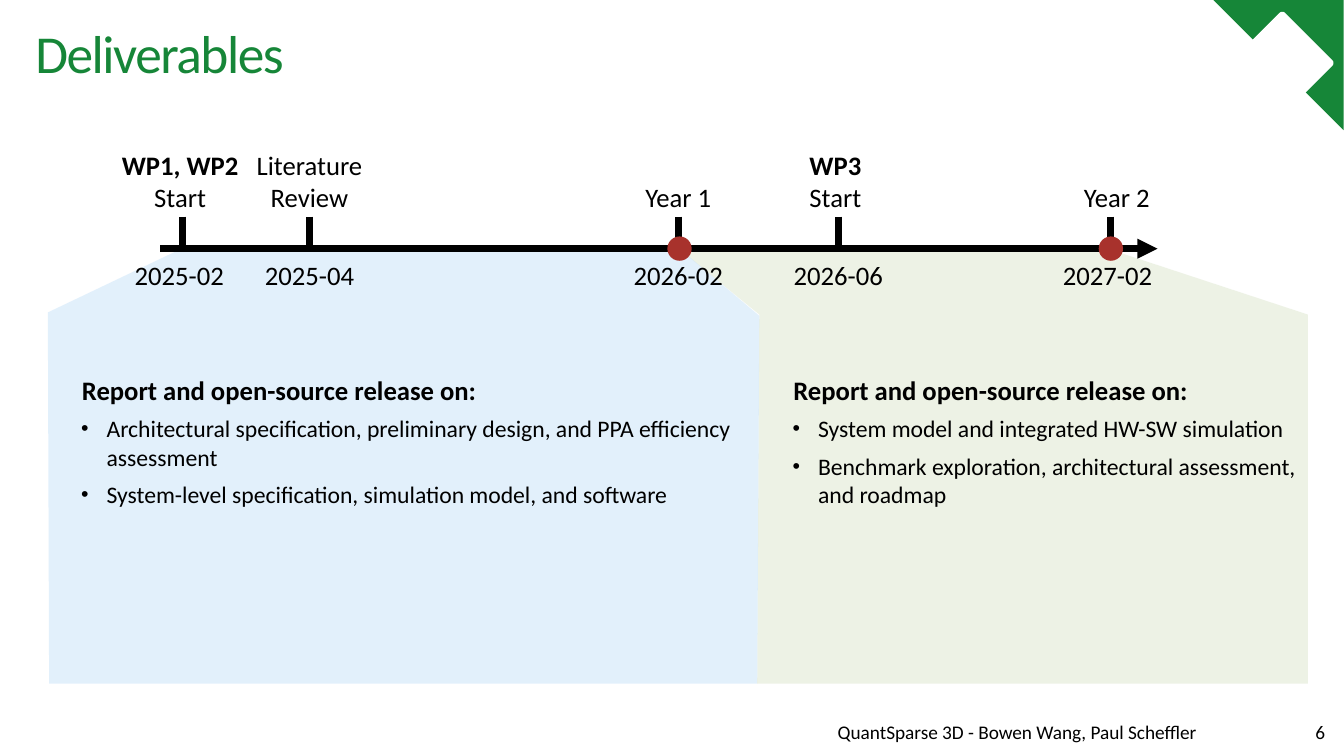
"""Builds the Deliverables slide with a project timeline and two yearly panels."""
import pptx
import pptx.dml.color
import pptx.enum.shapes
import pptx.enum.text
import pptx.oxml
import pptx.oxml.ns
import pptx.util

Cm = pptx.util.Cm
Pt = pptx.util.Pt
RGBColor = pptx.dml.color.RGBColor
MSO_SHAPE = pptx.enum.shapes.MSO_SHAPE
PP_ALIGN = pptx.enum.text.PP_ALIGN
MSO_ANCHOR = pptx.enum.text.MSO_ANCHOR

GREEN = RGBColor(0x16, 0x86, 0x38)
WHITE = RGBColor(0xFF, 0xFF, 0xFF)
BLACK = RGBColor(0, 0, 0)
RED = RGBColor(0xA8, 0x32, 0x2C)
PALE_BLUE = RGBColor(0xC6, 0xE2, 0xF9)
PALE_GREEN = RGBColor(0xDC, 0xE6, 0xCD)

AXIS_Y = 5.92
TICK_TOP = 5.16
LABEL_BOTTOM = 5.08
DATE_TOP = 6.17
LINE_HEIGHT = 0.77
LABEL_WIDTH = 2.84
DOT = 0.58

MILESTONES = [
    (4.34, 4.29, 4.27, [("WP1, WP2", True), ("Start", False)], "2025-02"),
    (7.37, 7.37, 7.37, [("Literature", False), ("Review", False)], "2025-04"),
    (16.15, 16.15, 16.15, [("Year 1", False)], "2026-02"),
    (19.96, 19.89, 19.96, [("WP3", True), ("Start", False)], "2026-06"),
    (26.44, 26.59, 26.37, [("Year 2", False)], "2027-02"),
]
YEAR_ENDS = [16.18, 26.45]

YEAR_2_OUTLINE = [(16.18, 5.94), (18.08, 7.49), (18.03, 16.28),
                  (31.14, 16.28), (31.14, 7.49), (26.52, 5.97)]
YEAR_1_OUTLINE = [(4.39, 5.89), (1.14, 7.44), (1.17, 16.28),
                  (18.03, 16.28), (18.08, 7.52), (16.18, 5.92)]

REPORT_HEADING = "Report and open-source release on:"
YEAR_1_REPORTS = [
    "Architectural specification, preliminary design, and PPA efficiency assessment",
    "System-level specification, simulation model, and software",
]
YEAR_2_REPORTS = [
    "System model and integrated HW-SW simulation",
    "Benchmark exploration, architectural assessment, and roadmap",
]


class TimelineSlide:
    """Holds the text style and the slide under construction."""

    def __init__(self, slide, font="Calibri"):
        self.slide = slide
        self.font = font

    def xml(self, parent, tag, **attributes):
        child = pptx.oxml.parse_xml(f"<a:{tag} {pptx.oxml.ns.nsdecls('a')}/>")
        for name, value in attributes.items():
            child.set(name, str(value))
        parent.append(child)

    def run(self, paragraph, text, size, bold=False, color=BLACK):
        run = paragraph.add_run()
        run.text = text
        run.font.name = self.font
        run.font.size = Pt(size)
        run.font.bold = bold
        run.font.color.rgb = color
        return run

    def place(self, shape, left, top, width, height):
        shape.left, shape.top = Cm(left), Cm(top)
        shape.width, shape.height = Cm(width), Cm(height)

    def frame(self, shape, anchor, side=0, end=0, wrap=True):
        frame = shape.text_frame
        frame.auto_size = pptx.enum.text.MSO_AUTO_SIZE.NONE
        frame.word_wrap = wrap
        frame.vertical_anchor = anchor
        frame.margin_left = frame.margin_right = Cm(side)
        frame.margin_top = frame.margin_bottom = Cm(end)
        return frame

    def title(self, text):
        title = self.slide.shapes.title
        self.place(title, 0.84, 0.48, 28, 1.73)
        heading = self.frame(title, MSO_ANCHOR.MIDDLE).paragraphs[0]
        heading.alignment = PP_ALIGN.LEFT
        heading.line_spacing = 0.9
        run = self.run(heading, text, 36, color=GREEN)
        run.font._element.set("spc", "-100")

    def shape(self, kind, left, top, size, color, rotation=0, adjustment=None):
        shape = self.slide.shapes.add_shape(kind, Cm(left), Cm(top), Cm(size), Cm(size))
        shape.rotation = rotation
        if adjustment is not None:
            shape.adjustments[0] = adjustment
        self.paint(shape, color)

    def paint(self, shape, color):
        shape.shadow.inherit = False
        shape.fill.solid()
        shape.fill.fore_color.rgb = color
        shape.line.fill.background()

    def panel(self, outline, color):
        points = [(Cm(x), Cm(y)) for x, y in outline]
        builder = self.slide.shapes.build_freeform(*points[0])
        builder.add_line_segments(points[1:], close=True)
        panel = builder.convert_to_shape()
        self.paint(panel, color)
        tint = panel._element.spPr.find(".//" + pptx.oxml.ns.qn("a:srgbClr"))
        self.xml(tint, "alpha", val=50000)

    def line(self, x1, y1, x2, y2, arrow=False):
        line = self.slide.shapes.add_connector(
            pptx.enum.shapes.MSO_CONNECTOR.STRAIGHT, Cm(x1), Cm(y1), Cm(x2), Cm(y2))
        line.line.width = Pt(4.5)
        line.line.color.rgb = BLACK
        properties = line._element.spPr
        if arrow:
            self.xml(properties.find(pptx.oxml.ns.qn("a:ln")), "tailEnd", type="triangle")
        self.xml(properties, "effectLst")

    def label(self, center, top, lines):
        box = self.slide.shapes.add_textbox(
            Cm(center - LABEL_WIDTH / 2), Cm(top), Cm(LABEL_WIDTH), Cm(LINE_HEIGHT * len(lines)))
        frame = self.frame(box, MSO_ANCHOR.TOP, wrap=False)
        for index, (text, bold) in enumerate(lines):
            paragraph = frame.add_paragraph() if index else frame.paragraphs[0]
            paragraph.alignment = PP_ALIGN.CENTER
            self.run(paragraph, text, 18, bold)

    def footer(self, left, width, text):
        box = self.slide.shapes.add_textbox(Cm(left), Cm(17.04), Cm(width), Cm(0.79))
        paragraph = self.frame(box, MSO_ANCHOR.BOTTOM, 0.25, 0.13).paragraphs[0]
        paragraph.alignment = PP_ALIGN.RIGHT
        self.run(paragraph, text, 13)

    def reports(self, body, left, width, height, items):
        self.slide.shapes._spTree.append(body._element)
        self.place(body, left, 8.76, width, height)
        frame = self.frame(body, MSO_ANCHOR.TOP, 0, 0.13)
        heading = frame.paragraphs[0]
        properties = heading._p.get_or_add_pPr()
        properties.set("marL", str(Cm(0.81)))
        properties.set("indent", "0")
        self.xml(properties, "buNone")
        heading.space_before = Pt(0)
        self.run(heading, REPORT_HEADING, 18, bold=True)
        for item in items:
            bullet = frame.add_paragraph()
            properties = bullet._p.get_or_add_pPr()
            properties.set("marL", str(Cm(1.4)))
            properties.set("indent", str(Cm(-0.61)))
            self.xml(properties, "buSzPct", val=90000)
            self.xml(properties, "buFont", typeface="Arial")
            self.xml(properties, "buChar", char="•")
            bullet.space_before = Pt(6)
            self.run(bullet, item, 16)


def main():
    deck = pptx.Presentation()
    deck.slide_width, deck.slide_height = Cm(32), Cm(18)
    slide = deck.slides.add_slide(deck.slide_layouts[3])
    timeline = TimelineSlide(slide)
    year_1_body, year_2_body = slide.placeholders[1], slide.placeholders[2]

    timeline.shape(MSO_SHAPE.ISOSCELES_TRIANGLE, 28.89, 0, 3.1, GREEN, 270, 1)
    timeline.shape(MSO_SHAPE.ROUNDED_RECTANGLE, 29.11, 0.99, 0.99, WHITE, 45, 0.05)
    timeline.shape(MSO_SHAPE.ROUNDED_RECTANGLE, 29.64, 0.61, 1.78, WHITE, 45, 0.05)
    timeline.title("Deliverables")

    timeline.panel(YEAR_2_OUTLINE, PALE_GREEN)
    timeline.panel(YEAR_1_OUTLINE, PALE_BLUE)
    timeline.line(3.81, AXIS_Y, 27.56, AXIS_Y, arrow=True)
    for tick_x, label_x, date_x, label, date in MILESTONES:
        timeline.line(tick_x, TICK_TOP, tick_x, AXIS_Y)
        timeline.label(label_x, LABEL_BOTTOM - LINE_HEIGHT * len(label), label)
        timeline.label(date_x, DATE_TOP, [(date, False)])
    for year_end in YEAR_ENDS:
        timeline.shape(MSO_SHAPE.OVAL, year_end - DOT / 2, AXIS_Y - DOT / 2, DOT, RED)

    timeline.reports(year_1_body, 1.14, 16.94, 2.79, YEAR_1_REPORTS)
    timeline.reports(year_2_body, 18.08, 13.08, 3.43, YEAR_2_REPORTS)
    timeline.footer(9.73, 19, "QuantSparse 3D - Bowen Wang, Paul Scheffler")
    timeline.footer(30.3, 1.5, "6")
    deck.save("out.pptx")


if __name__ == "__main__":
    main()
